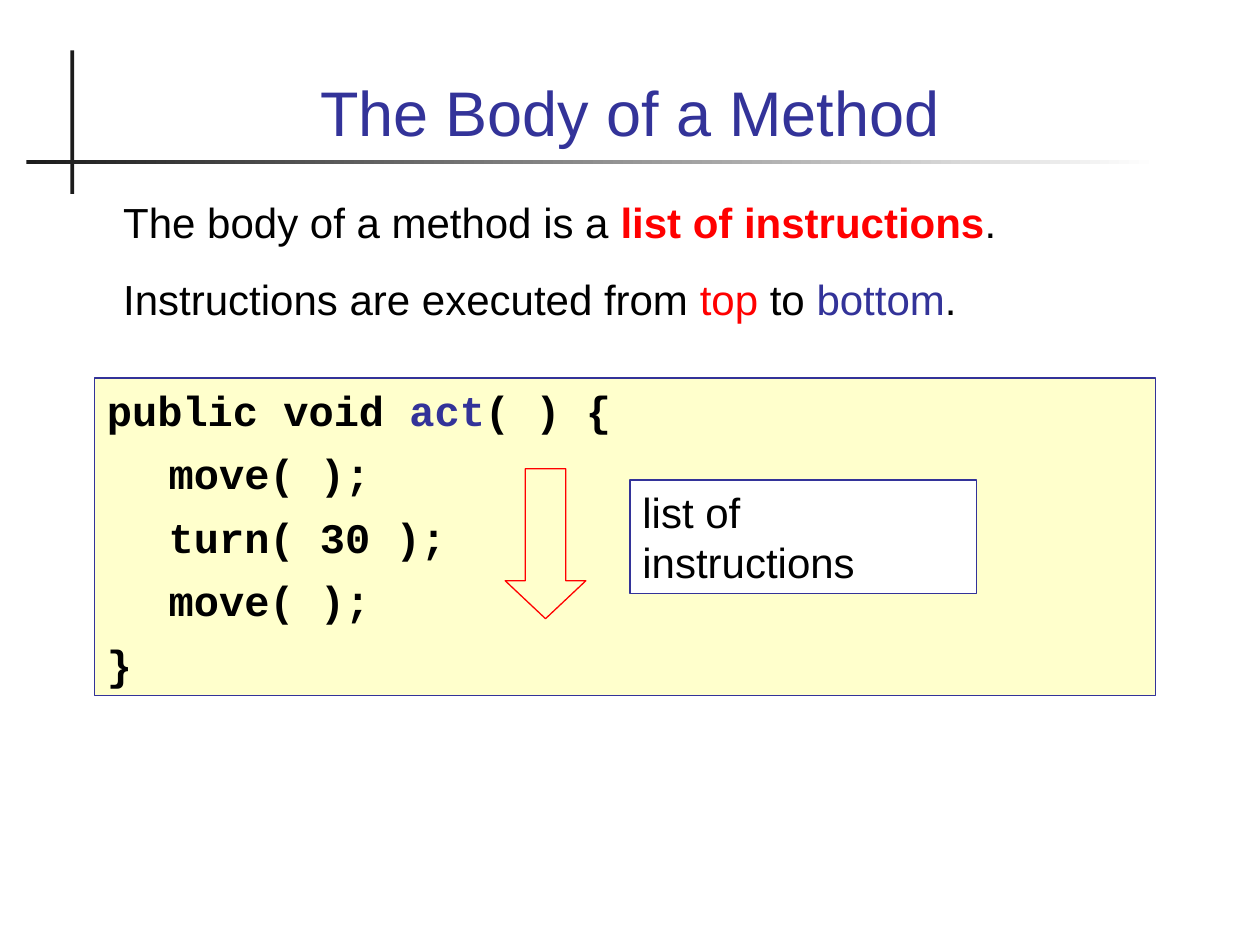
from pptx import Presentation
from pptx.dml.color import RGBColor
from pptx.enum.shapes import MSO_SHAPE
from pptx.enum.text import MSO_ANCHOR, PP_ALIGN
from pptx.util import Inches, Pt

RECTANGLE, DOWN_ARROW = MSO_SHAPE.RECTANGLE, MSO_SHAPE.DOWN_ARROW
TOP, BOTTOM = MSO_ANCHOR.TOP, MSO_ANCHOR.BOTTOM
LEFT, CENTER = PP_ALIGN.LEFT, PP_ALIGN.CENTER

BLACK = RGBColor(0x00, 0x00, 0x00)
WHITE = RGBColor(0xFF, 0xFF, 0xFF)
CHARCOAL = RGBColor(0x1C, 0x1C, 0x1C)
INDIGO = RGBColor(0x33, 0x33, 0x99)
RED = RGBColor(0xFF, 0x00, 0x00)
CREAM = RGBColor(0xFF, 0xFF, 0xCC)

prs = Presentation()
prs.slide_width, prs.slide_height = Inches(10), Inches(7.5)
slide = prs.slides.add_slide(prs.slide_layouts[6])


def add_block(preset, left, top, width, height, fill=None, line=None):
    """Add a shape without shadow; fill and line are optional colours."""
    block = slide.shapes.add_shape(
        preset, Inches(left), Inches(top), Inches(width), Inches(height))
    block.shadow.inherit = False
    if fill is None:
        block.fill.background()
    else:
        block.fill.solid()
        block.fill.fore_color.rgb = fill
    if line is None:
        block.line.fill.background()
    else:
        block.line.color.rgb = line
        block.line.width = Pt(0.75)
    return block


def write(block, lines, font="Arial", size=24, gap=0, align=LEFT, anchor=TOP):
    """Write lines, each a list of (text, colour, bold) runs."""
    frame = block.text_frame
    frame.word_wrap = True
    frame.vertical_anchor = anchor
    for number, runs in enumerate(lines):
        paragraph = frame.add_paragraph() if number else frame.paragraphs[0]
        paragraph.alignment = align
        paragraph.line_spacing = Pt(size * 1.2)
        paragraph.space_before = Pt(gap if number else 0)
        for text, color, bold in runs:
            run = paragraph.add_run()
            run.text = text
            run.font.name = font
            run.font.size = Pt(size)
            run.font.bold = bold
            run.font.color.rgb = color


# Crossed rules behind the title
add_block(RECTANGLE, 0.56, 0.4, 0.03, 1.14, CHARCOAL)
title_rule = add_block(RECTANGLE, 0.21, 1.27, 8.99, 0.03)
title_rule.fill.gradient()
title_rule.fill.gradient_angle = 0
for stop, color in zip(title_rule.fill.gradient_stops, (CHARCOAL, WHITE)):
    stop.color.rgb = color

# Title
title = slide.shapes.add_textbox(
    Inches(0.67), Inches(0.28), Inches(8.66), Inches(0.95))
write(title, [[("The Body of a Method", INDIGO, False)]],
      size=36, align=CENTER, anchor=BOTTOM)

# Code listing, with the method body indented
code = add_block(RECTANGLE, 0.75, 3, 8.42, 2.52, CREAM, INDIGO)
body = ["move( );", "turn( 30 );", "move( );"]
signature = [("public void ", BLACK, True), ("act", INDIGO, True),
             ("( ) {", BLACK, True)]
write(code,
      [signature, *[[(call, BLACK, True)] for call in body],
       [("}", BLACK, True)]],
      font="Courier New", gap=7.5)
for paragraph in code.text_frame.paragraphs[1:-1]:
    paragraph._p.get_or_add_pPr().set("marL", str(Inches(0.49)))

# Label beside the code
label = add_block(RECTANGLE, 5, 3.81, 2.75, 0.9, WHITE, INDIGO)
write(label, [[("list of instructions", BLACK, False)]])

# Explanation
explanation = slide.shapes.add_textbox(
    Inches(0.88), Inches(1.51), Inches(8.24), Inches(1.11))
write(explanation, [
    [("The body of a method is a ", BLACK, False),
     ("list of instructions", RED, True), (".", BLACK, False)],
    [("Instructions are executed from ", BLACK, False), ("top", RED, False),
     (" to ", BLACK, False), ("bottom", INDIGO, False), (".", BLACK, False)],
], gap=15)

# Order of execution
order_arrow = add_block(DOWN_ARROW, 4.01, 3.72, 0.64, 1.19, line=RED)
order_arrow.adjustments[0] = 0.5
order_arrow.adjustments[1] = 0.47

prs.save("out.pptx")
